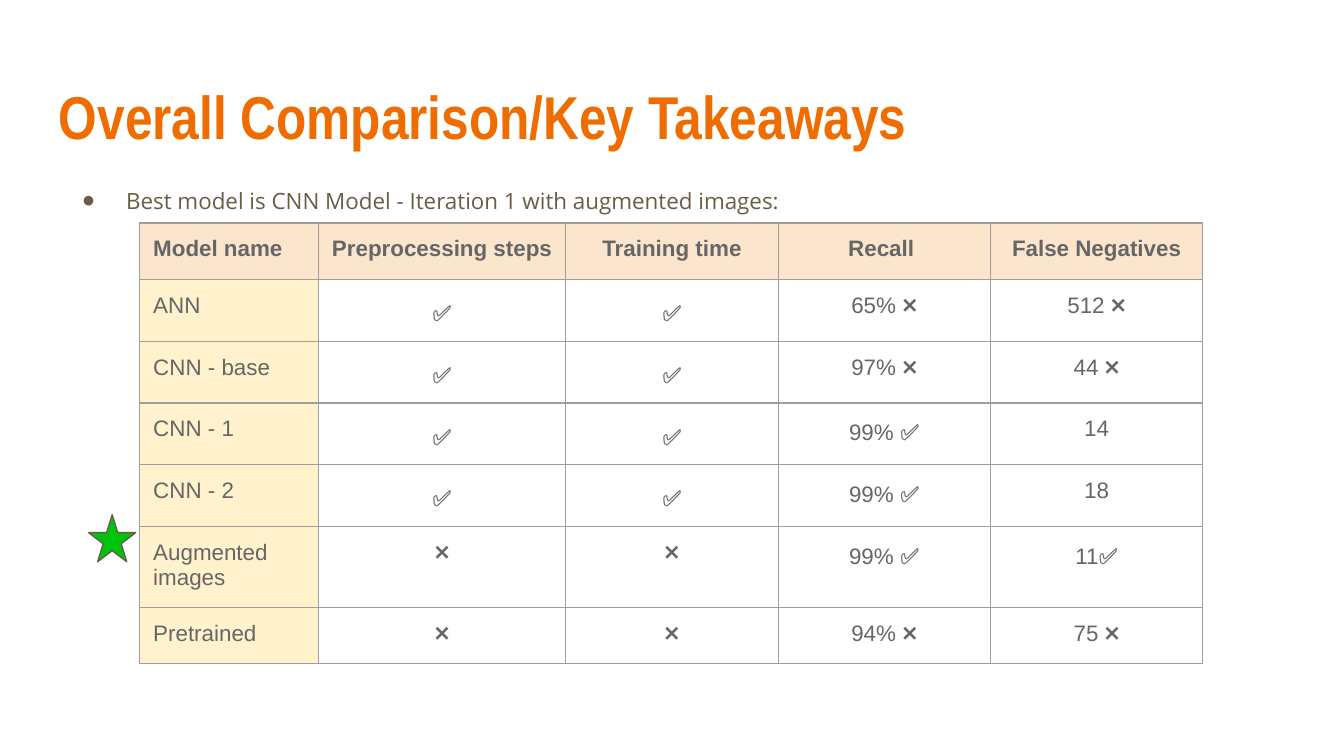
from dataclasses import dataclass

from lxml.etree import SubElement
from pptx import Presentation
from pptx.dml.color import RGBColor
from pptx.enum.shapes import MSO_SHAPE
from pptx.enum.text import MSO_ANCHOR, PP_ALIGN
from pptx.oxml.ns import qn
from pptx.util import Inches, Pt


@dataclass(frozen=True)
class Theme:
    title_color: str = "EF6C00"
    body_color: str = "695D46"
    cell_color: str = "666666"
    border: str = "9E9E9E"
    header_fill: str = "FCE5CD"
    name_fill: str = "FFF2CC"
    cell_fill: str = "FFFFFF"
    star_fill: str = "00C30E"
    title_font: str = "Arial Narrow"
    body_font: str = "Open Sans"
    cell_font: str = "Arial"
    title_size: float = 32.4
    text_size: float = 12
    line_width: float = 0.75


THEME = Theme()
CHECK, CROSS = "✅", "❌"
HEADERS = ["Model name", "Preprocessing steps", "Training time", "Recall ", "False Negatives"]
MODELS = [
    ["ANN", CHECK, CHECK, f"65% {CROSS}", f"512 {CROSS}"],
    ["CNN - base", CHECK, CHECK, f"97% {CROSS}", f"44 {CROSS}"],
    ["CNN - 1", CHECK, CHECK, f"99% {CHECK}", "14"],
    ["CNN - 2", CHECK, CHECK, f"99% {CHECK}", "18"],
    ["Augmented images", CROSS, CROSS, f"99% {CHECK}", f"11{CHECK}"],
    ["Pretrained", CROSS, CROSS, f"94% {CROSS}", f"75 {CROSS}"],
]
COLUMN_WIDTHS = [1.33, 1.84, 1.58, 1.58, 1.58]
ROW_HEIGHTS = [0.42, 0.46, 0.46, 0.46, 0.46, 0.57, 0.42]


def rgb(color):
    return RGBColor.from_string(color)


def add_run(paragraph, text, font, size, color, bold=False):
    run = paragraph.add_run()
    run.text = text
    run.font.name, run.font.size, run.font.bold = font, Pt(size), bold
    run.font.color.rgb = rgb(color)


def set_margins(frame):
    margin = Inches(0.1)
    frame.margin_left = frame.margin_right = margin
    frame.margin_top = frame.margin_bottom = margin


def add_text_frame(slide, box):
    frame = slide.shapes.add_textbox(*map(Inches, box)).text_frame
    frame.word_wrap = True
    frame.vertical_anchor = MSO_ANCHOR.TOP
    set_margins(frame)
    return frame


def add_title(slide, box):
    frame = add_text_frame(slide, box)
    add_run(frame.paragraphs[0], "Overall Comparison/Key Takeaways",
            THEME.title_font, THEME.title_size, THEME.title_color, bold=True)


def add_takeaway(slide, box):
    paragraph = add_text_frame(slide, box).paragraphs[0]
    paragraph.line_spacing = 1.15
    paragraph.space_before = Pt(11)
    add_run(paragraph, "Best model is CNN Model - Iteration 1 with augmented images:",
            THEME.body_font, THEME.text_size, THEME.body_color)
    # Hanging bullet
    properties = paragraph._p.get_or_add_pPr()
    properties.set("marL", str(Inches(0.5)))
    properties.set("indent", str(Inches(-0.33)))
    bullet_color = SubElement(properties, qn("a:buClr"))
    SubElement(bullet_color, qn("a:srgbClr"), val=THEME.body_color)
    SubElement(properties, qn("a:buFont"), typeface=THEME.cell_font)
    SubElement(properties, qn("a:buChar"), char="●")


def add_borders(cell):
    properties = cell._tc.get_or_add_tcPr()
    for side in ("lnL", "lnR", "lnT", "lnB"):
        line = SubElement(properties, qn(f"a:{side}"), w=str(Pt(THEME.line_width)))
        fill = SubElement(line, qn("a:solidFill"))
        SubElement(fill, qn("a:srgbClr"), val=THEME.border)


def fill_cell(cell, text, fill, centred, bold):
    set_margins(cell)
    add_borders(cell)
    cell.fill.solid()
    cell.fill.fore_color.rgb = rgb(fill)
    paragraph = cell.text_frame.paragraphs[0]
    if centred:
        paragraph.alignment = PP_ALIGN.CENTER
    if text == CHECK:
        paragraph.line_spacing = 1.15
        paragraph.space_before, paragraph.space_after = Pt(11), Pt(5)
    # Check marks use the body font, everything else the cell font
    label, mark, _ = text.partition(CHECK)
    for part, font in ((label, THEME.cell_font), (mark, THEME.body_font)):
        if part:
            add_run(paragraph, part, font, THEME.text_size, THEME.cell_color, bold)


def add_comparison(slide, left, top):
    rows = [HEADERS, *MODELS]
    table = slide.shapes.add_table(
        len(rows), len(HEADERS), Inches(left), Inches(top),
        Inches(sum(COLUMN_WIDTHS)), Inches(sum(ROW_HEIGHTS))).table
    table.first_row = table.horz_banding = False
    for column, width in zip(table.columns, COLUMN_WIDTHS):
        column.width = Inches(width)
    for r, values in enumerate(rows):
        table.rows[r].height = Inches(ROW_HEIGHTS[r])
        for c, text in enumerate(values):
            if r == 0:
                fill = THEME.header_fill
            else:
                fill = THEME.cell_fill if c else THEME.name_fill
            fill_cell(table.cell(r, c), text, fill, centred=c > 0, bold=r == 0)


def add_best_model_star(slide, box):
    star = slide.shapes.add_shape(MSO_SHAPE.STAR_5_POINT, *map(Inches, box))
    star.shadow.inherit = False
    star.fill.solid()
    star.fill.fore_color.rgb = rgb(THEME.star_fill)
    star.line.color.rgb = rgb(THEME.body_color)
    star.line.width = Pt(THEME.line_width)


def main():
    deck = Presentation()
    # Widescreen 16:9
    deck.slide_width = Inches(10)
    deck.slide_height = deck.slide_width * 9 // 16
    slide = deck.slides.add_slide(deck.slide_layouts[6])
    add_takeaway(slide, (0.34, 1.26, 9.17, 3.74))
    add_title(slide, (0.34, 0.49, 9.32, 0.77))
    add_comparison(slide, 1.04, 1.66)
    add_best_model_star(slide, (0.66, 3.83, 0.35, 0.35))
    deck.save("out.pptx")


if __name__ == "__main__":
    main()
